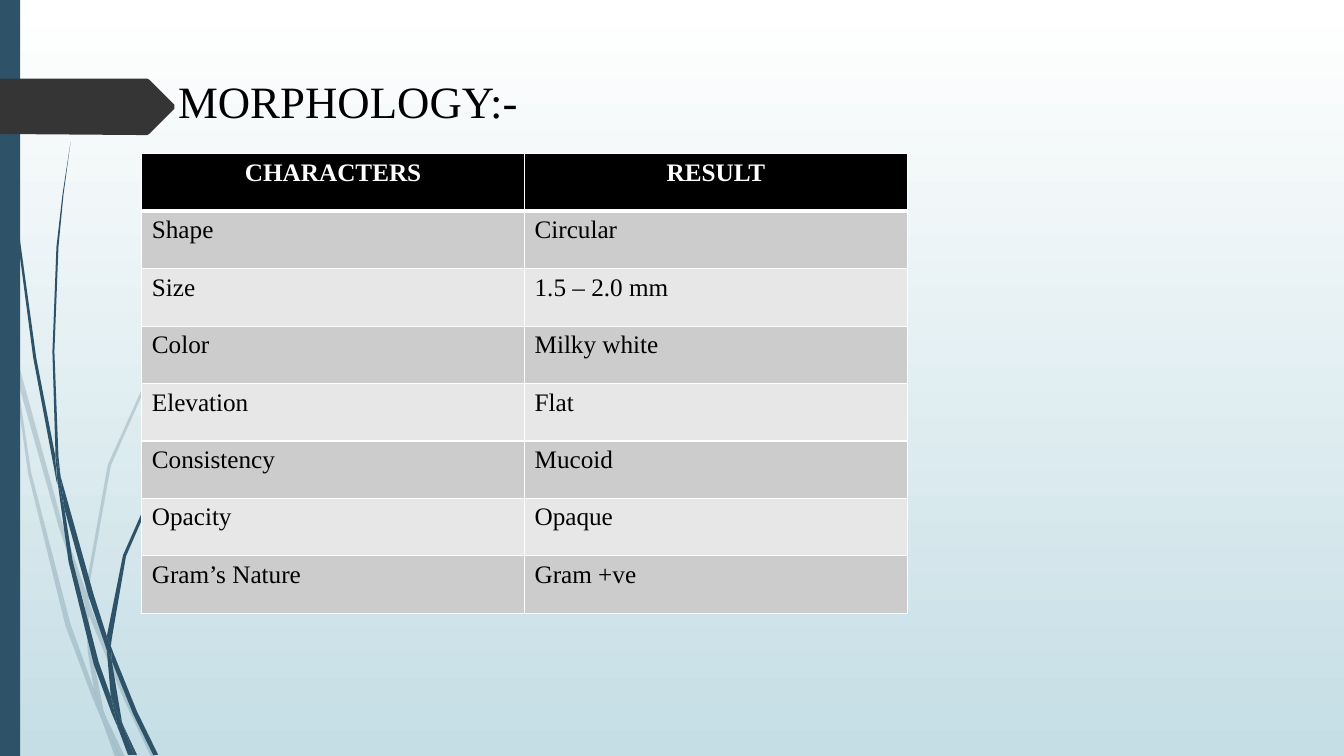
from dataclasses import dataclass

from lxml.etree import SubElement
from pptx import Presentation
from pptx.dml.color import RGBColor as RGB
from pptx.enum.shapes import MSO_SHAPE as SHAPE
from pptx.enum.text import MSO_ANCHOR as ANCHOR, MSO_AUTO_SIZE as FIT, PP_ALIGN as ALIGN
from pptx.oxml.ns import qn
from pptx.util import Pt


@dataclass(frozen=True)
class Theme:
    font: str = "Times New Roman"
    title_size: int = 32
    table_size: int = 18
    black: str = "000000"
    white: str = "FFFFFF"
    sky: str = "C5DEE5"
    stem: str = "2E5369"
    arrow: str = "353535"
    bands: tuple = ("CCCCCC", "E7E7E7")


T = Theme()
GRID = Pt(0.72)  # one unit of the outlines below

PALE_STEMS = [
    [(11, 350), (9, 322), (0, 282), (0, 299), (10, 344)],
    [(58, 522), (84, 599), (85, 586), (62, 520), (14, 345), (17, 376)],
    [(92, 607), (88, 596), (88, 610), (123, 694), (150, 751), (155, 751), (127, 692)],
    [(119, 751), (124, 751), (105, 711)],
    [(93, 683), (70, 619), (31, 469), (17, 376), (11, 350), (28, 470), (65, 621),
     (92, 693), (101, 714), (99, 707)],
    [(84, 599), (87, 646), (93, 683), (96, 692), (105, 711), (103, 706), (91, 646),
     (88, 610), (88, 608)],
    [(88, 584), (110, 462), (160, 349), (229, 245), (268, 198), (290, 175), (312, 154),
     (312, 153), (289, 175), (268, 197), (228, 244), (158, 348), (107, 461), (85, 584),
     (85, 586), (88, 596)],
    [(101, 714), (114, 751), (119, 751)],
    [(88, 608), (88, 610), (88, 596), (85, 586), (84, 599)],
    [(96, 692), (93, 683), (99, 707), (101, 714), (119, 751), (105, 711)],
]
DARK_STEMS = [
    [(7, 110), (17, 233), (33, 355), (56, 477), (57, 481), (55, 457), (55, 453),
     (36, 355), (19, 232), (8, 109), (5, 48), (4, 0), (3, 0), (4, 48)],
    [(88, 592), (106, 645), (106, 633), (106, 631), (93, 590), (60, 472), (64, 505)],
    [(113, 649), (110, 641), (111, 656), (132, 708), (152, 749), (157, 749), (136, 706)],
    [(110, 691), (98, 657), (72, 556), (64, 505), (57, 477), (68, 557), (93, 659),
     (111, 708), (117, 722), (116, 717)],
    [(60, 472), (58, 453), (54, 349), (58, 245), (63, 193), (70, 141), (62, 193),
     (56, 245), (52, 349), (55, 449)],
    [(133, 749), (136, 749), (122, 719)],
    [(57, 477), (64, 505), (60, 472), (55, 449), (55, 453)],
    [(111, 633), (125, 552), (158, 476), (205, 406), (231, 374), (245, 359), (261, 344),
     (260, 344), (245, 358), (231, 373), (204, 405), (156, 474), (122, 551), (106, 631),
     (110, 641)],
    [(117, 722), (127, 749), (131, 749)],
    [(106, 645), (110, 691), (116, 706), (122, 719), (121, 716), (111, 656), (109, 651)],
    [(106, 645), (109, 651), (111, 656), (110, 641), (106, 631), (106, 633)],
    [(116, 706), (110, 691), (116, 717), (117, 722), (130, 749), (133, 749), (122, 719)],
]
ARROW = [(173, 108), (148, 133), (146, 134), (136, 134), (0, 133), (0, 78), (136, 78),
         (146, 78), (148, 79), (173, 104)]

MORPHOLOGY = [
    ("CHARACTERS", "RESULT"),
    ("Shape", "Circular"),
    ("Size", "1.5 – 2.0 mm"),
    ("Color", "Milky white"),
    ("Elevation", "Flat"),
    ("Consistency", "Mucoid"),
    ("Opacity", "Opaque"),
    ("Gram’s Nature", "Gram +ve"),
]


def rgb(color):
    return RGB.from_string(color)


def paint(sp, color, opacity=100):
    sp.shadow.inherit = False
    sp.fill.solid()
    sp.fill.fore_color.rgb = rgb(color)
    sp.line.fill.background()
    if opacity < 100:
        clr = sp._element.spPr.find(qn("a:solidFill"))[0]
        SubElement(clr, qn("a:alpha"), val=str(opacity * 1000))


def add_run(p, text, size, color, bold=False):
    r = p.add_run()
    r.text = text
    r.font.name, r.font.size, r.font.bold = T.font, Pt(size), bold
    r.font.color.rgb = rgb(color)


def add_outline(s, left, top, points, color, opacity=100):
    builder = s.shapes.build_freeform(*points[0], scale=GRID)
    builder.add_line_segments(points[1:])
    paint(builder.convert_to_shape(Pt(left), Pt(top)), color, opacity)


def add_backdrop(s, left, top, height):
    fill = s.background.fill
    fill.gradient()
    fill.gradient_angle = 270
    for stop, color, position in zip(fill.gradient_stops, (T.white, T.sky), (0, 1)):
        stop.color.rgb = rgb(color)
        stop.position = position
    for stems, opacity in ((PALE_STEMS, 20), (DARK_STEMS, 100)):
        for points in stems:
            add_outline(s, left, top, points, T.stem, opacity)
    bar = s.shapes.add_shape(SHAPE.RECTANGLE, Pt(left), Pt(top), Pt(14.4), Pt(height))
    paint(bar, T.stem)
    add_outline(s, left, top, ARROW, T.arrow)


def add_title(s, left, top, width, height, text):
    sp = s.shapes.title
    sp.left, sp.top, sp.width, sp.height = map(Pt, (left, top, width, height))
    tf = sp.text_frame
    tf.word_wrap, tf.auto_size = True, FIT.NONE
    tf.vertical_anchor = ANCHOR.BOTTOM
    p = tf.paragraphs[0]
    p.alignment = ALIGN.LEFT
    add_run(p, text, T.title_size, T.black)


def set_border(cell, side, width):
    ln = SubElement(cell._tc.get_or_add_tcPr(), qn(f"a:ln{side}"), w=str(Pt(width)))
    SubElement(SubElement(ln, qn("a:solidFill")), qn("a:srgbClr"), val=T.white)


def add_results(s, left, top, width, height, rows):
    frame = s.shapes.add_table(len(rows), len(rows[0]), *map(Pt, (left, top, width, height)))
    table = frame.table
    for i, row in enumerate(rows):
        header = i == 0
        for j, text in enumerate(row):
            cell = table.cell(i, j)
            for side in "LRTB":
                heavy = (i, side) in ((0, "B"), (1, "T"))
                set_border(cell, side, 3 if heavy else 1)
            cell.fill.solid()
            cell.fill.fore_color.rgb = rgb(T.black if header else T.bands[(i - 1) % 2])
            p = cell.text_frame.paragraphs[0]
            p.alignment = ALIGN.CENTER if header else ALIGN.LEFT
            add_run(p, text, T.table_size, T.white if header else T.black, header)


def main():
    prs = Presentation()
    prs.slide_width, prs.slide_height = Pt(960), Pt(540)
    s = prs.slides.add_slide(prs.slide_layouts[5])
    add_backdrop(s, 0, 0, 540)
    add_title(s, 120, 49, 551.5, 46, "MORPHOLOGY:-")
    add_results(s, 101.3, 109.9, 546.8, 328.3, MORPHOLOGY)
    prs.save("out.pptx")


if __name__ == "__main__":
    main()
